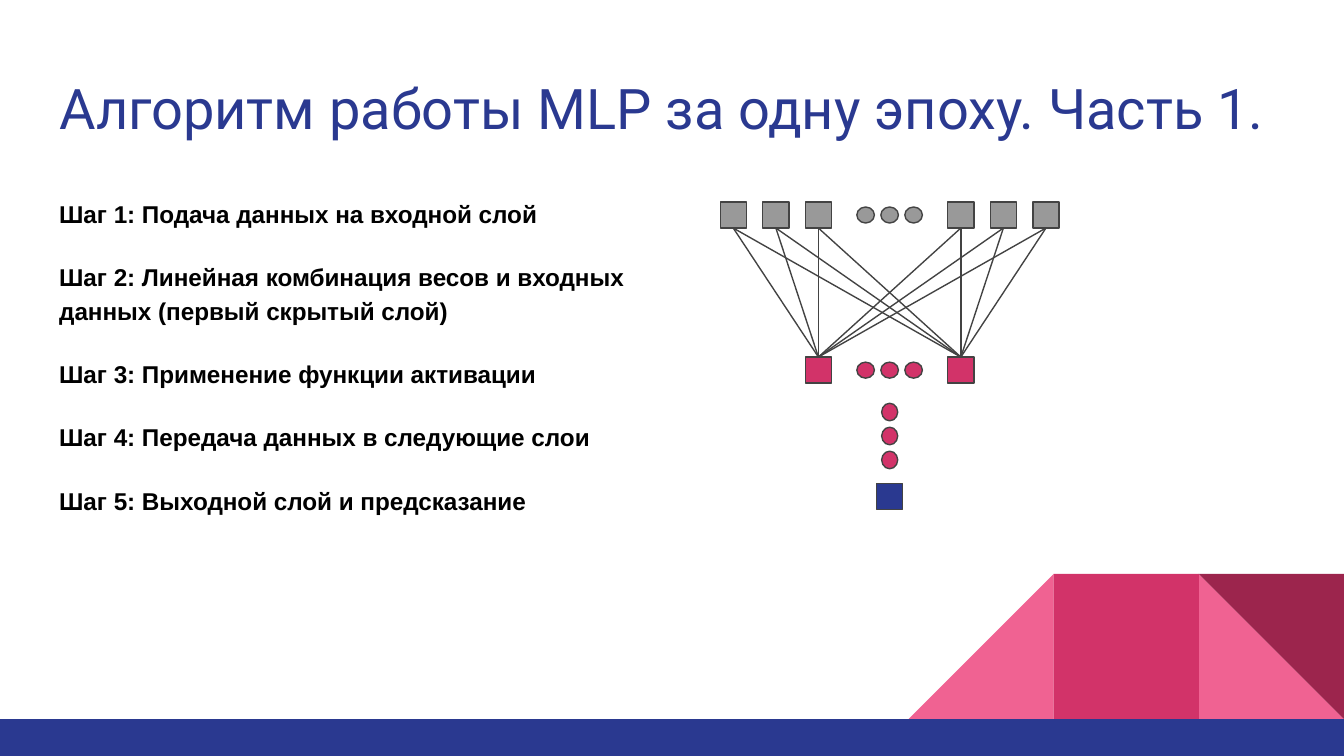
from dataclasses import dataclass

from lxml.etree import SubElement
from pptx import Presentation
from pptx.dml.color import RGBColor
from pptx.enum.shapes import MSO_CONNECTOR, MSO_SHAPE as Preset
from pptx.enum.text import MSO_ANCHOR, MSO_AUTO_SIZE, PP_ALIGN
from pptx.oxml.ns import qn
from pptx.util import Pt

COLORS = {
    "blue": "2A3990",
    "pink": "F06292",
    "crimson": "D23369",
    "wine": "9C254D",
    "gray": "999999",
    "outline": "434343",
    "black": "000000",
}
TITLE = "Алгоритм работы MLP за одну эпоху. Часть 1."
STEPS = [
    "Шаг 1: Подача данных на входной слой",
    "Шаг 2: Линейная комбинация весов и входных данных (первый скрытый слой)",
    "Шаг 3: Применение функции активации",
    "Шаг 4: Передача данных в следующие слои",
    "Шаг 5: Выходной слой и предсказание",
]

PAGE_WIDTH, PAGE_HEIGHT = 720, 405
BAR_TOP = 385.2
TILE = 77.75
LINE_WIDTH = 0.75

# Network geometry: every part is placed by its centre
AXIS = 476.6
NODE = 14
NODE_GAP = 22.8
INNER = 38.15
DOT_WIDTH, DOT_HEIGHT, DOT_GAP = 9.4, 8.6, 12.85
INPUT_Y, HIDDEN_Y, DOTS_Y, OUTPUT_Y = 115.2, 198.3, 233.6, 266


@dataclass
class Part:
    preset: Preset
    x: float
    y: float
    width: float
    height: float
    color: str
    rotation: float = 0
    outlined: bool = False


def rgb(name: str) -> RGBColor:
    return RGBColor.from_string(COLORS[name])


def draw_part(page, part: Part) -> None:
    shape = page.shapes.add_shape(
        part.preset, Pt(part.x - part.width / 2), Pt(part.y - part.height / 2),
        Pt(part.width), Pt(part.height))
    shape.shadow.inherit = False
    shape.rotation = part.rotation
    shape.fill.solid()
    shape.fill.fore_color.rgb = rgb(part.color)
    if part.outlined:
        shape.line.color.rgb = rgb("outline")
        shape.line.width = Pt(LINE_WIDTH)
    else:
        shape.line.fill.background()


def draw_node(page, x: float, y: float, color: str) -> None:
    draw_part(page, Part(Preset.RECTANGLE, x, y, NODE, NODE, color, outlined=True))


def draw_dots(page, y: float, color: str, vertical: bool = False) -> None:
    for step in (-DOT_GAP, 0, DOT_GAP):
        x_shift, y_shift = (0, step) if vertical else (step, 0)
        draw_part(page, Part(Preset.OVAL, AXIS + x_shift, y + y_shift, DOT_WIDTH,
                             DOT_HEIGHT, color, 90 if vertical else 0, True))


def draw_link(page, start_x: float, end_x: float) -> None:
    link = page.shapes.add_connector(
        MSO_CONNECTOR.STRAIGHT, Pt(start_x), Pt(INPUT_Y + NODE / 2),
        Pt(end_x), Pt(HIDDEN_Y - NODE / 2))
    link.line.color.rgb = rgb("outline")
    link.line.width = Pt(LINE_WIDTH)
    SubElement(link._element.spPr, qn("a:effectLst"))


def place_text(box, left: float, top: float, width: float, height: float):
    box.left, box.top, box.width, box.height = map(Pt, (left, top, width, height))
    frame = box.text_frame
    frame.word_wrap = True
    frame.auto_size = MSO_AUTO_SIZE.NONE
    frame.vertical_anchor = MSO_ANCHOR.TOP
    frame.margin_left = frame.margin_right = Pt(7.2)
    frame.margin_top = frame.margin_bottom = Pt(7.2)
    return frame


def style_para(para, font: str, size: float, color: str, bold: bool) -> None:
    para.alignment = PP_ALIGN.LEFT
    para.font.name = font
    para.font.size = Pt(size)
    para.font.bold = bold
    para.font.color.rgb = rgb(color)


def draw_decor(page) -> None:
    tile_y = BAR_TOP - TILE / 2
    right, middle, left = (PAGE_WIDTH - TILE * (n + 0.5) for n in range(3))
    for preset, x, color, rotation in (
        (Preset.RIGHT_TRIANGLE, right, "pink", 0),
        (Preset.RIGHT_TRIANGLE, left, "pink", 270),
        (Preset.RECTANGLE, middle, "crimson", 0),
        (Preset.RIGHT_TRIANGLE, right, "wine", 180),
    ):
        draw_part(page, Part(preset, x, tile_y, TILE, TILE, color, rotation))
    draw_part(page, Part(Preset.RECTANGLE, PAGE_WIDTH / 2, (BAR_TOP + PAGE_HEIGHT) / 2,
                         PAGE_WIDTH, PAGE_HEIGHT - BAR_TOP, "blue"))


def draw_network(page) -> None:
    offsets = [INNER + NODE_GAP * n for n in range(3)]
    inputs = [AXIS - d for d in reversed(offsets)] + [AXIS + d for d in offsets]
    hidden = [AXIS - INNER, AXIS + INNER]

    for x in inputs:
        draw_node(page, x, INPUT_Y, "gray")
    draw_dots(page, INPUT_Y, "gray")
    for x in hidden:
        draw_node(page, x, HIDDEN_Y, "crimson")
    for end_x in hidden:
        for start_x in inputs:
            draw_link(page, start_x, end_x)
    draw_dots(page, HIDDEN_Y, "crimson")
    draw_dots(page, DOTS_Y, "crimson", vertical=True)
    draw_node(page, AXIS, OUTPUT_Y, "blue")


def write_text(page) -> None:
    # Title
    frame = place_text(page.shapes.title, 24.5, 32.4, 671, 47.5)
    frame.text = TITLE
    style_para(frame.paragraphs[0], "Roboto", 30, "blue", False)

    # Steps, without bullets
    frame = place_text(page.placeholders[1], 24.5, 97.2, 335.5, 262.8)
    for index, step in enumerate(STEPS):
        para = frame.add_paragraph() if index else frame.paragraphs[0]
        para.text = step
        para.line_spacing = 1.15
        para.space_before = Pt(16 if index else 0)
        properties = para._p.get_or_add_pPr()
        properties.set("marL", "0")
        properties.set("indent", "0")
        SubElement(properties, qn("a:buNone"))
        style_para(para, "Arial", 13, "black", True)


def main() -> None:
    deck = Presentation()
    deck.slide_width, deck.slide_height = Pt(PAGE_WIDTH), Pt(PAGE_HEIGHT)
    page = deck.slides.add_slide(deck.slide_layouts[1])
    draw_decor(page)
    write_text(page)
    draw_network(page)
    deck.save("out.pptx")


if __name__ == "__main__":
    main()
